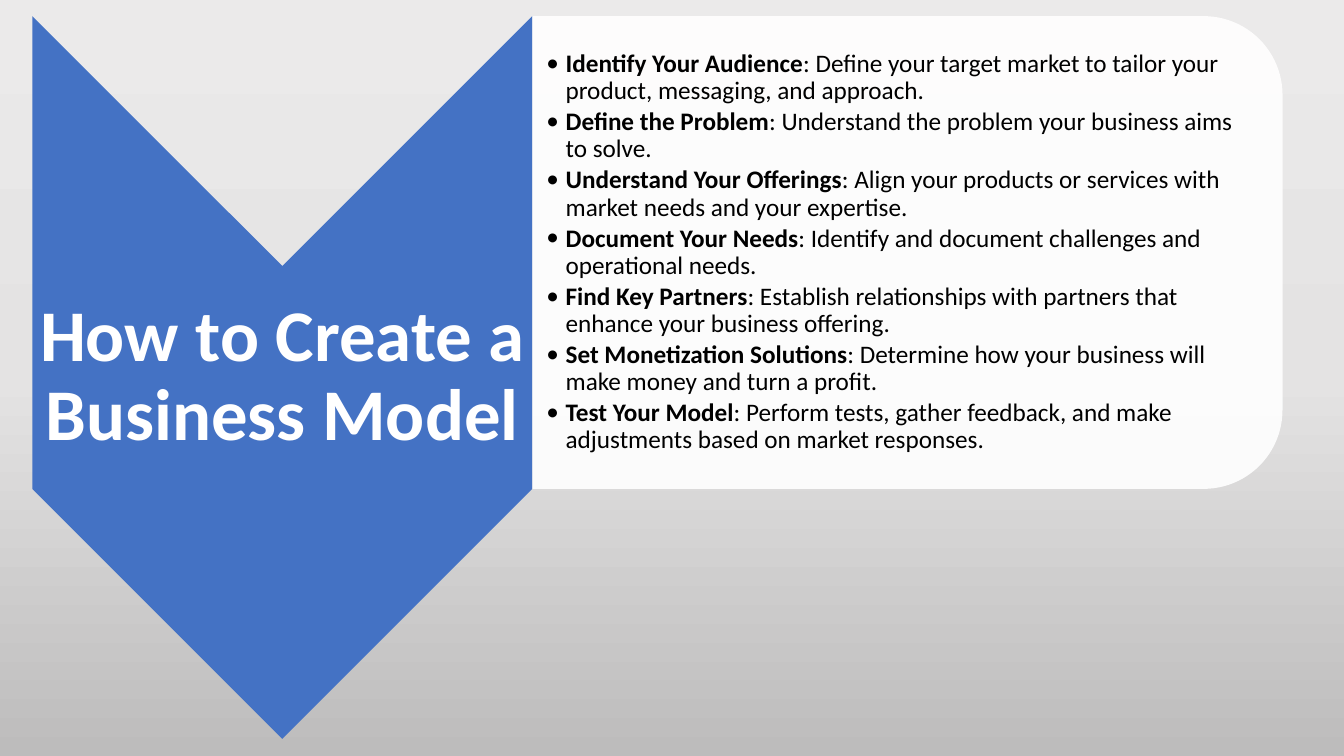
from copy import deepcopy

from lxml import etree
from pptx import Presentation
from pptx.dml.color import RGBColor
from pptx.enum.shapes import MSO_SHAPE
from pptx.enum.text import MSO_ANCHOR, MSO_AUTO_SIZE, PP_ALIGN
from pptx.oxml.ns import qn
from pptx.util import Inches, Pt

CHEVRON = MSO_SHAPE.CHEVRON
PANEL = MSO_SHAPE.ROUND_2_SAME_RECTANGLE
MIDDLE = MSO_ANCHOR.MIDDLE

TITLE = "How to Create a Business Model"
STEPS = [
    ("Identify Your Audience", "Define your target market to tailor your product, messaging, and approach."),
    ("Define the Problem", "Understand the problem your business aims to solve."),
    ("Understand Your Offerings", "Align your products or services with market needs and your expertise."),
    ("Document Your Needs", "Identify and document challenges and operational needs."),
    ("Find Key Partners", "Establish relationships with partners that enhance your business offering."),
    ("Set Monetization Solutions", "Determine how your business will make money and turn a profit."),
    ("Test Your Model", "Perform tests, gather feedback, and make adjustments based on market responses."),
]

THEME = {
    "font": "Calibri",
    "title_size": 52,
    "body_size": 18,
    "line_spacing": 0.9,
    "blue": "4472C4",
    "white": "FFFFFF",
    "black": "000000",
    "panel_opacity": 90,
    "background": [(0, "EBEAEA"), (0.5, "E4E3E3"), (1, "BDBCBC")],
}

# Layout in inches
LEFT, TOP = 0.32, 0.16
ARROW_W, ARROW_H = 4.96, 7.17
PANEL_W, PANEL_H = 7.44, 4.69
PANEL_LEFT = LEFT + ARROW_W
POINT_DEPTH = ARROW_W / 2
TEXT_INSET = 0.23
INDENT = 0.19


def rgb(name):
    return RGBColor.from_string(THEME[name])


def paint_background(s):
    fill = s.background.fill
    fill.gradient()
    fill.gradient_angle = 270
    stop_list = s.element.find(".//" + qn("a:gsLst"))
    stop_list.append(deepcopy(stop_list[0]))
    for stop, (position, color) in zip(fill.gradient_stops, THEME["background"]):
        stop.position = position
        stop.color.rgb = RGBColor.from_string(color)


def add_turned_shape(s, kind, left, top, width, height, color):
    """Add a shape turned by 90 degrees that fills the given box on the slide."""
    shift = (width - height) / 2
    sp = s.shapes.add_shape(kind, Inches(left + shift), Inches(top - shift),
                            Inches(height), Inches(width))
    sp.rotation = 90
    sp.shadow.inherit = False
    sp.fill.solid()
    sp.fill.fore_color.rgb = rgb(color)
    sp.line.fill.background()
    return sp


def set_opacity(sp, percent):
    color = sp.fill._xPr.find(qn("a:solidFill"))[0]
    etree.SubElement(color, qn("a:alpha"), val=str(percent * 1000))


def prepare_frame(sp, left, top, width, height, insets):
    sp.left, sp.top, sp.width, sp.height = map(Inches, (left, top, width, height))
    tf = sp.text_frame
    tf.word_wrap = True
    tf.auto_size = MSO_AUTO_SIZE.NONE
    tf.vertical_anchor = MIDDLE
    tf.margin_left, tf.margin_top, tf.margin_right, tf.margin_bottom = map(Inches, insets)
    return tf


def format_run(r, size, color, bold):
    r.font.name = THEME["font"]
    r.font.size = Pt(THEME[size])
    r.font.color.rgb = rgb(color)
    r.font.bold = bold


def add_title(s):
    sp = s.shapes.title
    # Bring the title in front of the arrow
    sp.element.getparent().append(sp.element)
    tf = prepare_frame(sp, LEFT, TOP + POINT_DEPTH, ARROW_W,
                       ARROW_H - 2 * POINT_DEPTH, [0.04] * 4)
    tf.text = TITLE
    p = tf.paragraphs[0]
    p.alignment = PP_ALIGN.CENTER
    p.line_spacing = THEME["line_spacing"]
    format_run(p.runs[0], "title_size", "white", True)


def add_bullet(p):
    pPr = p._p.get_or_add_pPr()
    pPr.set("marL", str(Inches(INDENT)))
    pPr.set("indent", str(-Inches(INDENT)))
    etree.SubElement(pPr, qn("a:buFont"), typeface=THEME["font"])
    etree.SubElement(pPr, qn("a:buChar"), char="•")


def add_steps(s):
    box = s.shapes.add_textbox(0, 0, 0, 0)
    tf = prepare_frame(box, PANEL_LEFT, TOP + TEXT_INSET, PANEL_W - TEXT_INSET,
                       PANEL_H - 2 * TEXT_INSET, [0.14, 0.01, 0.01, 0.01])
    for i, (name, detail) in enumerate(STEPS):
        p = tf.add_paragraph() if i else tf.paragraphs[0]
        add_bullet(p)
        p.line_spacing = THEME["line_spacing"]
        p.space_after = Pt(0.15 * THEME["body_size"])
        for text, bold in ((name, True), (": " + detail, False)):
            r = p.add_run()
            r.text = text
            format_run(r, "body_size", "black", bold)


def main():
    prs = Presentation()
    prs.slide_width, prs.slide_height = Inches(13.33), Inches(7.5)
    s = prs.slides.add_slide(prs.slide_layouts[5])
    paint_background(s)
    add_turned_shape(s, CHEVRON, LEFT, TOP, ARROW_W, ARROW_H, "blue")
    add_title(s)
    panel = add_turned_shape(s, PANEL, PANEL_LEFT, TOP, PANEL_W, PANEL_H, "white")
    set_opacity(panel, THEME["panel_opacity"])
    add_steps(s)
    prs.save("out.pptx")


if __name__ == "__main__":
    main()
